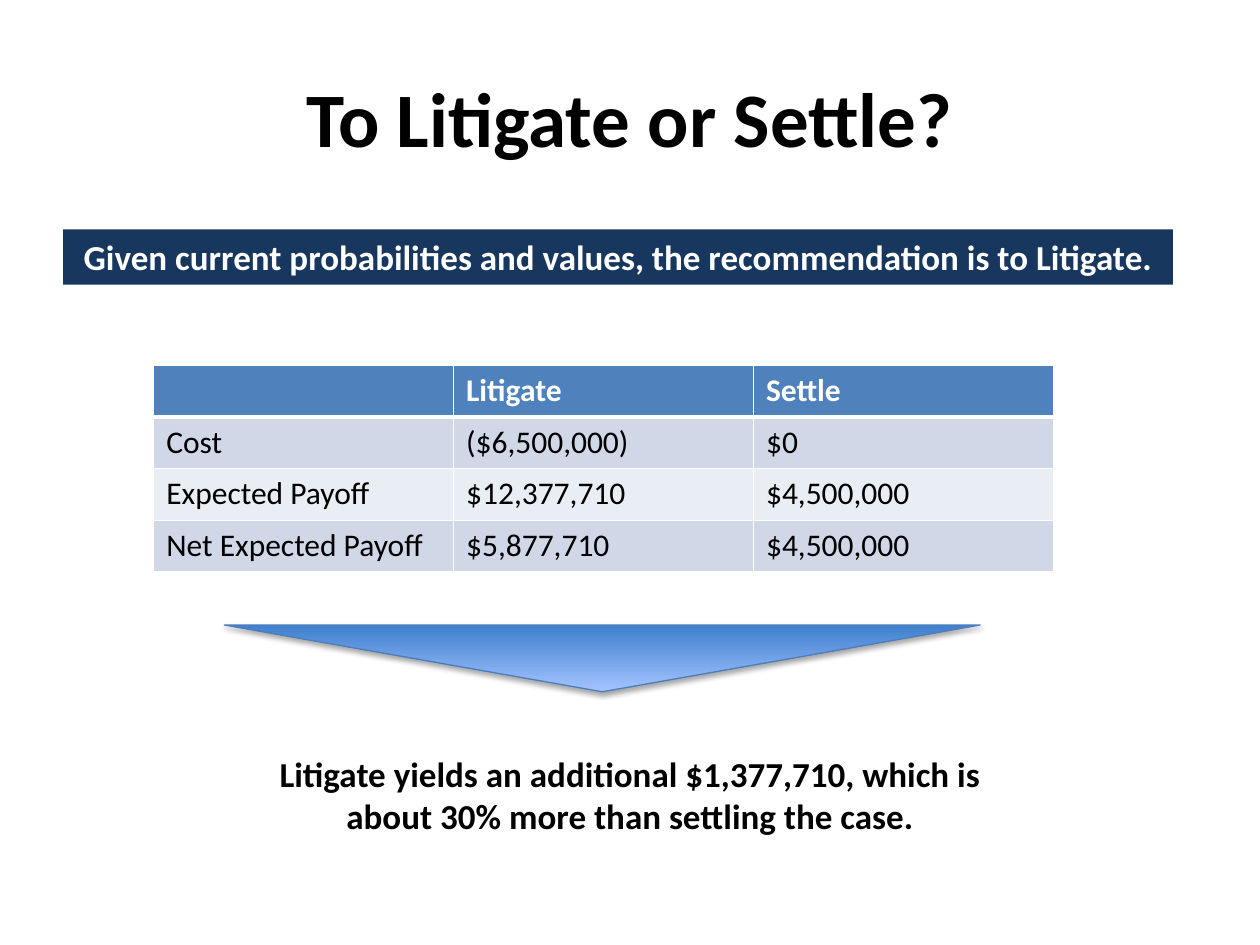
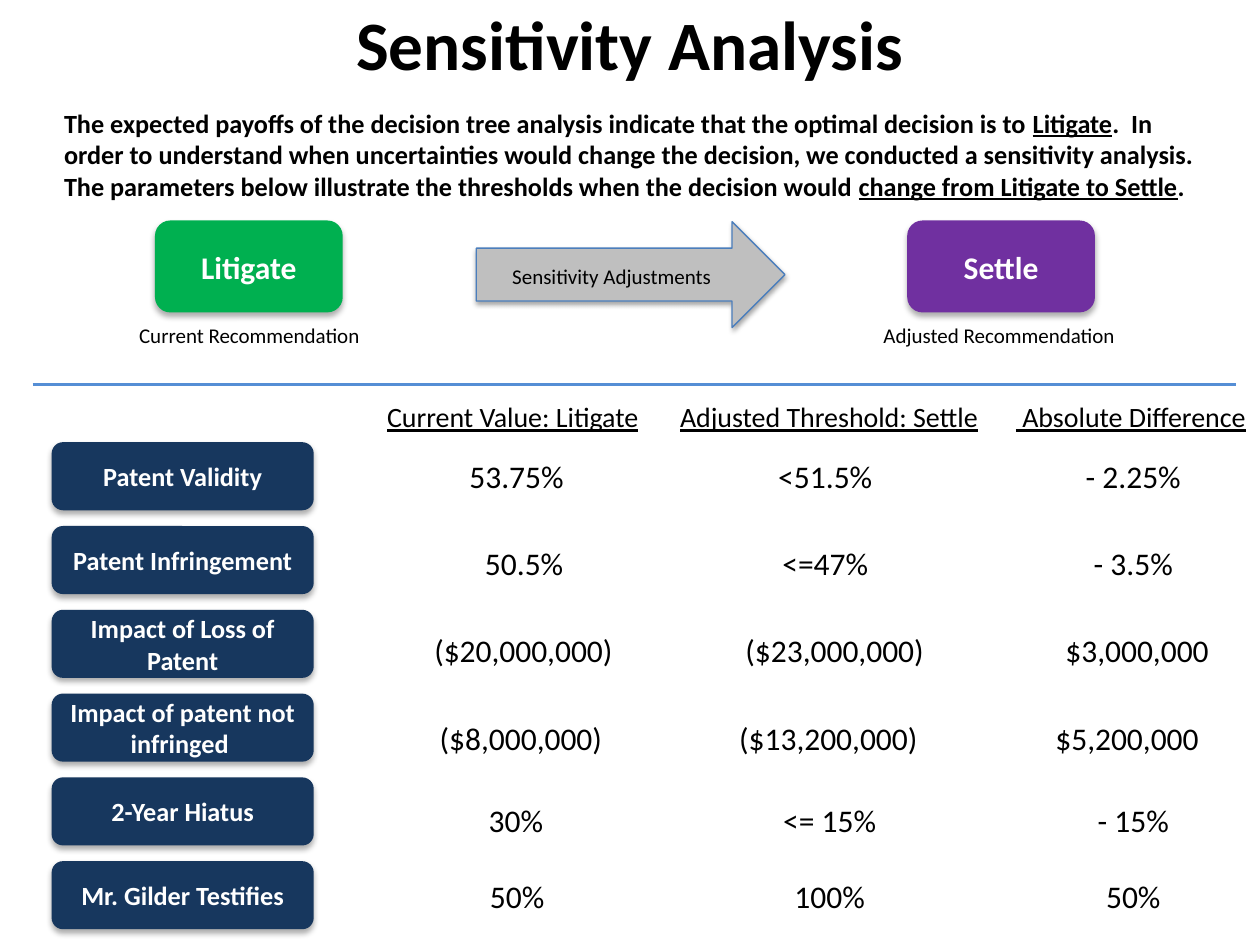
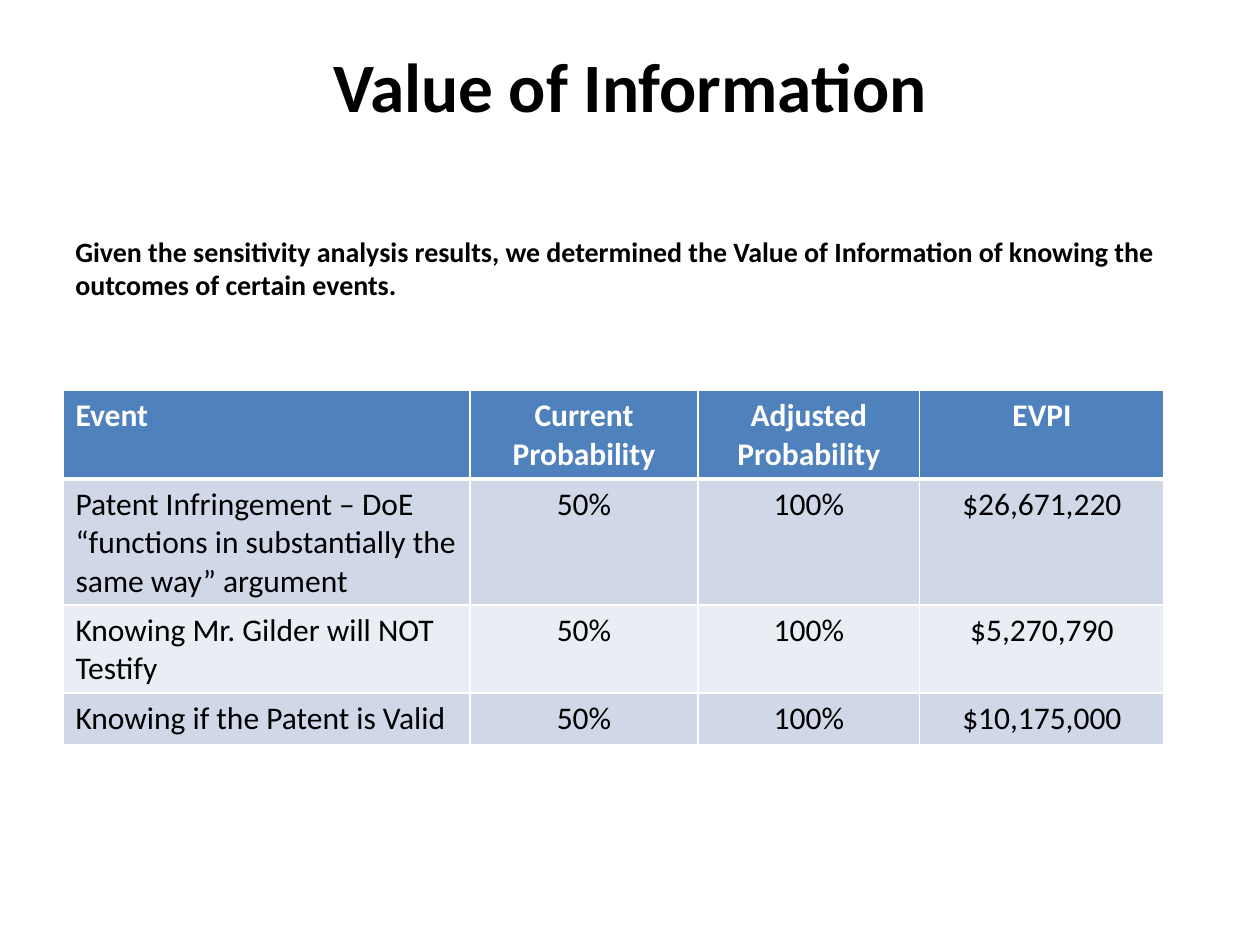
from dataclasses import dataclass
from typing import NamedTuple

from lxml.etree import SubElement
from pptx import Presentation
from pptx.dml.color import RGBColor
from pptx.enum.shapes import MSO_CONNECTOR, MSO_SHAPE as SHAPE
from pptx.enum.text import MSO_ANCHOR as ANCHOR, MSO_AUTO_SIZE as AUTO, PP_ALIGN as ALIGN
from pptx.oxml.ns import qn
from pptx.util import Emu, Inches, Pt


@dataclass(frozen=True)
class Theme:
    """Colours, type sizes and font of the deck."""
    font: str = "Calibri"
    black: str = "000000"
    white: str = "FFFFFF"
    navy: str = "17375E"
    green: str = "00B050"
    purple: str = "7030A0"
    grey: str = "BFBFBF"
    outline: str = "4B7EBC"
    rule: str = "558ED5"
    wedge_dark: str = "3F80CE"
    wedge_light: str = "A4C4FF"
    header: str = "4F81BD"
    bands: tuple[str, str] = ("D0D8E8", "E9EDF4")
    title: float = 44
    small_title: float = 39.6
    statement: float = 20
    value: float = 18
    heading: float = 16
    body: float = 15
    caption: float = 12


T = Theme()


class Box(NamedTuple):
    """Position and size in inches."""
    x: float
    y: float
    w: float
    h: float

    def lengths(self) -> list[Emu]:
        """Return the four measures as lengths."""
        return [Inches(v) for v in self]


class Run(NamedTuple):
    """A piece of text, underlined or not."""
    text: str
    underline: bool = False


class Style(NamedTuple):
    """Type size, colour, weight and alignment of a text."""
    size: float
    color: str = T.black
    bold: bool = False
    align: ALIGN = ALIGN.CENTER


class Shadow(NamedTuple):
    """Downward shadow: opacity in percent, blur and distance in points."""
    alpha: int
    blur: float
    dist: float


class Reading(NamedTuple):
    """One value in the threshold grid."""
    text: str
    x: float
    w: float


class Parameter(NamedTuple):
    """One row of the threshold grid."""
    label: str
    value_top: float
    readings: tuple[Reading, ...]


BUTTON_SHADOW = Shadow(32, 3.5, 2.2)
ARROW_SHADOW = Shadow(35, 3.1, 1.8)


def rgb(color: str) -> RGBColor:
    """Turn a hex string into a colour."""
    return RGBColor.from_string(color)


def write(tf, paragraphs: list[list[Run]], style: Style) -> None:
    """Write paragraphs run by run in one style."""
    for i, runs in enumerate(paragraphs):
        p = tf.add_paragraph() if i else tf.paragraphs[0]
        p.alignment = style.align
        for piece in runs:
            r = p.add_run()
            r.text = piece.text
            f = r.font
            f.name, f.size, f.bold = T.font, Pt(style.size), style.bold
            f.underline = piece.underline
            f.color.rgb = rgb(style.color)


def add_slide(prs, title: str, box: Box, size: float):
    """Add a slide with its bold centred title."""
    s = prs.slides.add_slide(prs.slide_layouts[5])
    sp = s.shapes.title
    sp.left, sp.top, sp.width, sp.height = box.lengths()
    tf = sp.text_frame
    tf.auto_size, tf.vertical_anchor = AUTO.NONE, ANCHOR.MIDDLE
    write(tf, [[Run(title)]], Style(size, bold=True))
    return s


def add_text(s, box: Box, runs: list[Run], style: Style, wrap: bool = True) -> None:
    """Add a text box that grows with its text."""
    tf = s.shapes.add_textbox(*box.lengths()).text_frame
    tf.word_wrap, tf.auto_size = wrap, AUTO.SHAPE_TO_FIT_TEXT
    write(tf, [runs], style)


def add_shadow(sp, shadow: Shadow) -> None:
    """Give a shape a soft shadow below it."""
    sp.shadow.inherit = False
    effects = sp._element.spPr.find(qn("a:effectLst"))
    outer = SubElement(effects, qn("a:outerShdw"), blurRad=str(Pt(shadow.blur)),
                       dist=str(Pt(shadow.dist)), dir="5400000", rotWithShape="0")
    color = SubElement(outer, qn("a:srgbClr"), val=T.black)
    SubElement(color, qn("a:alpha"), val=str(shadow.alpha * 1000))


def add_shape(s, kind: SHAPE, box: Box, fill: str, line: str | None = None,
              shadow: Shadow | None = None):
    """Add a filled preset shape, outlined and shadowed on demand."""
    sp = s.shapes.add_shape(kind, *box.lengths())
    sp.fill.solid()
    sp.fill.fore_color.rgb = rgb(fill)
    if line:
        sp.line.color.rgb, sp.line.width = rgb(line), Pt(0.75)
    else:
        sp.line.fill.background()
    if shadow:
        add_shadow(sp, shadow)
    else:
        sp.shadow.inherit = False
    return sp


def add_button(s, box: Box, text: str, fill: str, size: float) -> None:
    """Add a rounded box with a bold white label."""
    sp = add_shape(s, SHAPE.ROUNDED_RECTANGLE, box, fill, shadow=BUTTON_SHADOW)
    tf = sp.text_frame
    tf.word_wrap, tf.vertical_anchor = True, ANCHOR.MIDDLE
    write(tf, [[Run(text)]], Style(size, T.white, True))


def add_wedge(s, box: Box) -> None:
    """Add the downward triangle with a gradient."""
    sp = add_shape(s, SHAPE.ISOSCELES_TRIANGLE, box, T.wedge_dark, T.outline, ARROW_SHADOW)
    sp.rotation = 180
    sp.fill.gradient()
    sp.fill.gradient_angle = 90
    for stop, color, place in zip(sp.fill.gradient_stops, (T.wedge_dark, T.wedge_light), (0, 1)):
        stop.color.rgb, stop.position = rgb(color), place


def add_rule(s, x1: float, x2: float, y: float) -> None:
    """Add a horizontal dividing line."""
    line = s.shapes.add_connector(MSO_CONNECTOR.STRAIGHT, Inches(x1), Inches(y), Inches(x2), Inches(y))
    line.line.color.rgb, line.line.width = rgb(T.rule), Pt(1.5)
    SubElement(line._element.spPr, qn("a:effectLst"))


def set_borders(cell, top: float, bottom: float) -> None:
    """Draw white borders round a cell, before its fill is set."""
    tc_pr = cell._tc.get_or_add_tcPr()
    for side, width in (("L", 1), ("R", 1), ("T", top), ("B", bottom)):
        ln = SubElement(tc_pr, qn(f"a:ln{side}"), w=str(Pt(width)))
        SubElement(SubElement(ln, qn("a:solidFill")), qn("a:srgbClr"), val=T.white)


def add_table(s, x: float, y: float, widths: list[float], heights: list[float],
              rows: list[list[str]], value_align: ALIGN) -> None:
    """Add a table with a blue header and banded rows; a newline splits paragraphs."""
    box = Box(x, y, sum(widths), sum(heights))
    table = s.shapes.add_table(len(rows), len(widths), *box.lengths()).table
    for column, width in zip(table.columns, widths):
        column.width = Inches(width)
    for i, (texts, height) in enumerate(zip(rows, heights)):
        table.rows[i].height = Inches(height)
        head = i == 0
        for j, text in enumerate(texts):
            cell = table.cell(i, j)
            set_borders(cell, 3 if i == 1 else 1, 3 if head else 1)
            cell.fill.solid()
            cell.fill.fore_color.rgb = rgb(T.header if head else T.bands[(i - 1) % 2])
            style = Style(T.value, T.white if head else T.black, head,
                          value_align if j else ALIGN.LEFT)
            write(cell.text_frame, [[Run(part)] for part in text.split("\n")], style)


def build_decision(prs) -> None:
    """Build the slide that compares litigating and settling."""
    s = add_slide(prs, "To Litigate or Settle?", Box(0.5, 0.3, 9, 1.25), T.title)
    tf = add_shape(s, SHAPE.RECTANGLE, Box(0.5, 1.82, 8.81, 0.44), T.navy).text_frame
    tf.word_wrap, tf.vertical_anchor = True, ANCHOR.TOP
    tf.auto_size = AUTO.SHAPE_TO_FIT_TEXT
    write(tf, [[Run("Given current probabilities and values, the recommendation is to Litigate.")]],
          Style(T.statement, T.white, True))
    add_table(s, 1.22, 2.9, [2.38] * 3, [0.41] * 4, [
        ["", "Litigate", "Settle"],
        ["Cost", "($6,500,000)", "$0"],
        ["Expected Payoff", "$12,377,710", "$4,500,000"],
        ["Net Expected Payoff", "$5,877,710", "$4,500,000"],
    ], ALIGN.LEFT)
    add_wedge(s, Box(1.78, 4.96, 6, 0.53))
    add_text(s, Box(2.09, 5.92, 5.82, 0.77),
             [Run("Litigate yields an additional $1,377,710, which is about 30% more than "
                  "settling the case.")], Style(T.statement, bold=True))


HEADINGS = (Reading("Current Value: Litigate", 2.92, 2.3),
            Reading("Adjusted Threshold: Settle", 5.26, 2.64),
            Reading(" Absolute Difference", 7.95, 2.05))

PARAMETERS = (
    Parameter("Patent Validity", 3.58, (
        Reading("53.75%", 2.56, 3.08), Reading("<51.5%", 5.4, 2.3), Reading("- 2.25%", 8.08, 1.83))),
    Parameter("Patent Infringement", 4.27, (
        Reading("50.5%", 2.69, 2.94), Reading("<=47%", 5.4, 2.3), Reading("- 3.5%", 8.08, 1.83))),
    Parameter("Impact of Loss of Patent", 4.96, (
        Reading("($20,000,000)", 2.45, 3.41), Reading("($23,000,000)", 5.4, 2.45),
        Reading("$3,000,000", 8.15, 1.75))),
    Parameter("Impact of patent not infringed ", 5.66, (
        Reading("($8,000,000)", 2.5, 3.27), Reading("($13,200,000)", 5.64, 1.87),
        Reading("$5,200,000", 8.15, 1.59))),
    Parameter("2-Year Hiatus", 6.31, (
        Reading("30%", 3.11, 1.97), Reading("<= 15%", 5.47, 2.23), Reading("- 15%", 8.08, 1.83))),
    Parameter("Mr. Gilder Testifies", 6.91, (
        Reading("50%", 3.12, 1.97), Reading("100%", 5.47, 2.23), Reading("50%", 8.08, 1.83))),
)


def build_sensitivity(prs) -> None:
    """Build the slide of thresholds that change the decision."""
    s = add_slide(prs, "Sensitivity Analysis", Box(0.5, 0.07, 9, 0.54), T.small_title)
    add_text(s, Box(0.41, 0.8, 9.25, 0.86), [
        Run("The expected payoffs of the decision tree analysis indicate that the optimal "
            "decision is to "),
        Run("Litigate", True),
        Run(".  In order to understand when uncertainties would change the decision, we "
            "conducted a sensitivity analysis.  The parameters below illustrate the thresholds "
            "when the decision would "),
        Run("change from Litigate to Settle", True),
        Run("."),
    ], Style(T.body, bold=True, align=ALIGN.LEFT))

    add_button(s, Box(1.23, 1.75, 1.49, 0.73), "Litigate", T.green, T.value)
    add_shape(s, SHAPE.RIGHT_ARROW, Box(3.78, 1.76, 2.45, 0.84), T.grey, T.outline, ARROW_SHADOW)
    add_button(s, Box(7.2, 1.75, 1.49, 0.73), "Settle", T.purple, T.value)
    for text, box in (("Current Recommendation", Box(0.7, 2.51, 2.56, 0.3)),
                      ("Sensitivity Adjustments", Box(3.85, 2.04, 2.01, 0.3)),
                      ("Adjusted Recommendation", Box(6.65, 2.51, 2.56, 0.3))):
        add_text(s, box, [Run(text)], Style(T.caption))
    add_rule(s, 0.26, 9.81, 3.05)

    for text, x, w in HEADINGS:
        add_text(s, Box(x, 3.12, w, 0.37), [Run(text, True)], Style(T.heading), wrap=False)
    first_top, pitch = 3.51, 0.665
    for i, row in enumerate(PARAMETERS):
        add_button(s, Box(0.41, first_top + i * pitch, 2.08, 0.54), row.label, T.navy, T.body)
        for text, x, w in row.readings:
            add_text(s, Box(x, row.value_top, w, 0.4), [Run(text)], Style(T.value))


def build_information(prs) -> None:
    """Build the slide on the value of information."""
    s = add_slide(prs, "Value of Information", Box(0.5, 0.33, 9, 0.68), T.small_title)
    add_text(s, Box(0.5, 1.81, 9.25, 0.64),
             [Run("Given the sensitivity analysis results, we determined the Value of Information "
                  "of knowing the outcomes of certain events.  ")],
             Style(T.heading, bold=True, align=ALIGN.LEFT))
    add_table(s, 0.5, 3.1, [3.23, 1.81, 1.76, 1.94], [0.7, 1, 0.7, 0.41], [
        ["Event", "Current Probability", "Adjusted Probability", "EVPI"],
        ["Patent Infringement – DoE\n“functions in substantially the same way” argument ",
         "50%", "100%", "$26,671,220"],
        ["Knowing Mr. Gilder will NOT Testify", "50%", "100%", "$5,270,790"],
        ["Knowing if the Patent is Valid", "50%", "100%", "$10,175,000"],
    ], ALIGN.CENTER)


def main() -> None:
    """Build and save the deck."""
    prs = Presentation()
    prs.slide_width, prs.slide_height = Inches(10), Inches(7.5)
    build_decision(prs)
    build_sensitivity(prs)
    build_information(prs)
    prs.save("out.pptx")


main()
